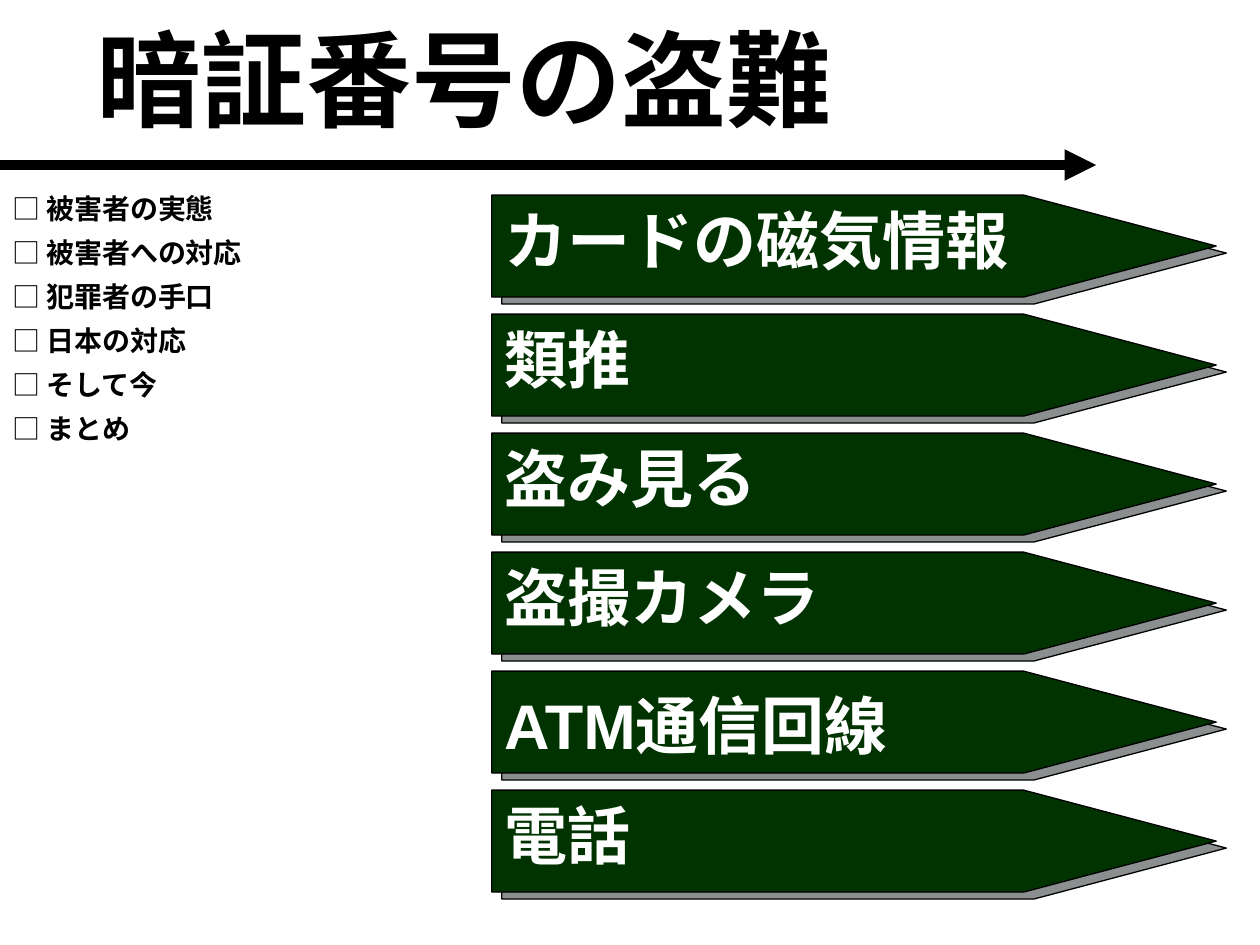
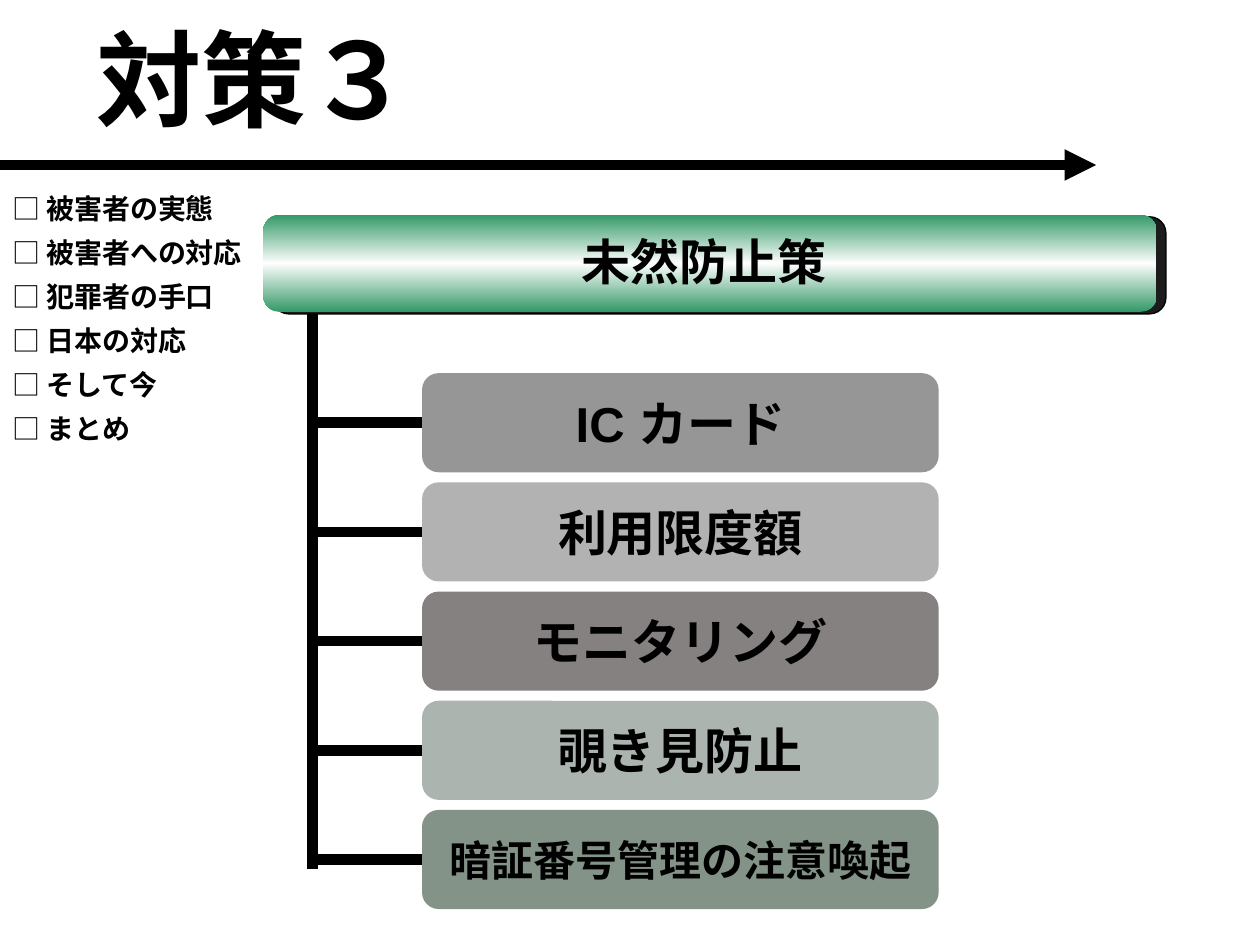
from copy import deepcopy

from pptx import Presentation
from pptx.dml.color import RGBColor
from pptx.enum.shapes import MSO_CONNECTOR as Connector, MSO_SHAPE as Shape
from pptx.enum.text import MSO_ANCHOR as Anchor, PP_ALIGN as Align
from pptx.oxml.ns import qn
from pptx.util import Pt

BLACK = RGBColor(0x00, 0x00, 0x00)
WHITE = RGBColor(0xFF, 0xFF, 0xFF)
DARK_GREEN = RGBColor(0x00, 0x33, 0x00)
SHADOW_GREY = RGBColor(0x8B, 0x8F, 0x8F)
BANNER_SHADOW = RGBColor(0x1C, 0x1C, 0x1C)
BANNER_GREEN = RGBColor(0x33, 0x99, 0x66)
BANNER_SHINE = RGBColor(0xFE, 0xFE, 0xFE)

BODY_FONT = "Arial"
TITLE_FONT = "Montserrat"

AGENDA = ["被害者の実態", "被害者への対応", "犯罪者の手口", "日本の対応", "そして今", "まとめ"]
THEFT_ROUTES = ["カードの磁気情報", "類推", "盗み見る", "盗撮カメラ", "ATM通信回線", "電話"]
MEASURES = [
    ("IC カード", RGBColor(0x96, 0x96, 0x96), 28),
    ("利用限度額", RGBColor(0xB2, 0xB2, 0xB2), 28),
    ("モニタリング", RGBColor(0x85, 0x81, 0x81), 28),
    ("覗き見防止", RGBColor(0xAC, 0xB4, 0xAF), 28),
    ("暗証番号管理の注意喚起", RGBColor(0x83, 0x93, 0x87), 24),
]

ROUTE_LEFT, ROUTE_TOP, ROUTE_PITCH = 281, 111.5, 68
ROUTE_WIDTH, ROUTE_SHOULDER, ROUTE_HEIGHT = 414, 304, 58.25
TRUNK_X = 178.5
MEASURE_LEFT, MEASURE_TOP, MEASURE_PITCH = 241.2, 213.25, 62.4
MEASURE_WIDTH, MEASURE_HEIGHT = 295.2, 56.6


def add_run(paragraph, text, size, color=BLACK, bold=True, font=BODY_FONT):
    run = paragraph.add_run()
    run.text = text
    run.font.name = font
    run.font.size = Pt(size)
    run.font.bold = bold
    run.font.color.rgb = color


def add_text_frame(slide, left, top, width, height):
    frame = slide.shapes.add_textbox(Pt(left), Pt(top), Pt(width), Pt(height)).text_frame
    frame.word_wrap = True
    return frame


def add_line(slide, x1, y1, x2, y2, arrow=False):
    line = slide.shapes.add_connector(Connector.STRAIGHT, Pt(x1), Pt(y1), Pt(x2), Pt(y2))
    line.line.color.rgb = BLACK
    line.line.width = Pt(6)
    if arrow:
        ln = line.line._get_or_add_ln()
        ln.append(ln.makeelement(qn("a:tailEnd"), {"type": "triangle"}))
    properties = line._element.spPr
    properties.append(properties.makeelement(qn("a:effectLst"), {}))


def paint(shape, color, outlined=False):
    shape.shadow.inherit = False
    shape.fill.solid()
    shape.fill.fore_color.rgb = color
    if outlined:
        shape.line.color.rgb = BLACK
        shape.line.width = Pt(0.75)
    else:
        shape.line.fill.background()


def add_block(slide, preset, left, top, width, height, color, outlined=False):
    block = slide.shapes.add_shape(preset, Pt(left), Pt(top), Pt(width), Pt(height))
    paint(block, color, outlined)
    return block


def add_frame(slide, title):
    agenda = add_text_frame(slide, 0, 105.8, 184.3, 152.6)
    for index, topic in enumerate(AGENDA):
        entry = agenda.add_paragraph() if index else agenda.paragraphs[0]
        if index:
            entry.space_before = Pt(6)
        add_run(entry, "□ ", 16, bold=False)
        add_run(entry, topic, 16)
    add_line(slide, 0, 94.3, 626.4, 94.3, arrow=True)
    heading = add_text_frame(slide, 48.25, 5, 481.7, 79.2)
    add_run(heading.paragraphs[0], title, 60, font=TITLE_FONT)


def add_pentagon(slide, left, top, color):
    outline = slide.shapes.build_freeform(Pt(left), Pt(top))
    corners = [
        (ROUTE_SHOULDER, 0),
        (ROUTE_WIDTH, ROUTE_HEIGHT / 2),
        (ROUTE_SHOULDER, ROUTE_HEIGHT),
        (0, ROUTE_HEIGHT),
    ]
    outline.add_line_segments([(Pt(left + x), Pt(top + y)) for x, y in corners], close=True)
    paint(outline.convert_to_shape(), color, outlined=True)


def add_route(slide, label, top, label_drop):
    add_pentagon(slide, ROUTE_LEFT + 5.75, top + 4, SHADOW_GREY)
    add_pentagon(slide, ROUTE_LEFT, top, DARK_GREEN)
    caption = add_text_frame(slide, ROUTE_LEFT, top + label_drop, 312, 50.4)
    add_run(caption.paragraphs[0], label, 36, WHITE)


def add_banner(slide, label):
    preset = Shape.FLOWCHART_ALTERNATE_PROCESS
    add_block(slide, preset, 155.75, 123.9, 510.5, 55.5, BANNER_SHADOW, outlined=True)
    banner = add_block(slide, preset, 150.5, 122.7, 510.5, 55.5, BANNER_GREEN)
    banner.fill.gradient()
    banner.fill.gradient_angle = 90
    stops = banner._element.spPr.find(qn("a:gradFill")).find(qn("a:gsLst"))
    stops.insert(1, deepcopy(stops[0]))
    shades = [(0, BANNER_GREEN), (0.5, BANNER_SHINE), (1, BANNER_GREEN)]
    for stop, (position, color) in zip(banner.fill.gradient_stops, shades):
        stop.position = position
        stop.color.rgb = color
    caption = add_text_frame(slide, 161.3, 128.9, 481.7, 41).paragraphs[0]
    caption.alignment = Align.CENTER
    add_run(caption, label, 28)


def add_measure(slide, label, color, size, top):
    middle = top + MEASURE_HEIGHT / 2
    add_line(slide, TRUNK_X, middle, MEASURE_LEFT, middle)
    measure = add_block(slide, Shape.ROUNDED_RECTANGLE, MEASURE_LEFT, top,
                        MEASURE_WIDTH, MEASURE_HEIGHT, color)
    frame = measure.text_frame
    frame.word_wrap = False
    frame.vertical_anchor = Anchor.MIDDLE
    frame.paragraphs[0].alignment = Align.CENTER
    add_run(frame.paragraphs[0], label, size)


def build_theft_slide(slide):
    add_frame(slide, "暗証番号の盗難")
    for row, label in enumerate(THEFT_ROUTES):
        label_drop = 5.5 if label.startswith("ATM") else 0
        add_route(slide, label, ROUTE_TOP + row * ROUTE_PITCH, label_drop)


def build_measures_slide(slide):
    add_frame(slide, "対策３")
    add_banner(slide, "未然防止策")
    add_line(slide, TRUNK_X, 179.2, TRUNK_X, 496.8)
    for row, (label, color, size) in enumerate(MEASURES):
        add_measure(slide, label, color, size, MEASURE_TOP + row * MEASURE_PITCH)


def main():
    deck = Presentation()
    deck.slide_width, deck.slide_height = Pt(720), Pt(540)
    blank = deck.slide_layouts[6]
    for build in (build_theft_slide, build_measures_slide):
        build(deck.slides.add_slide(blank))
    deck.save("out.pptx")


if __name__ == "__main__":
    main()
